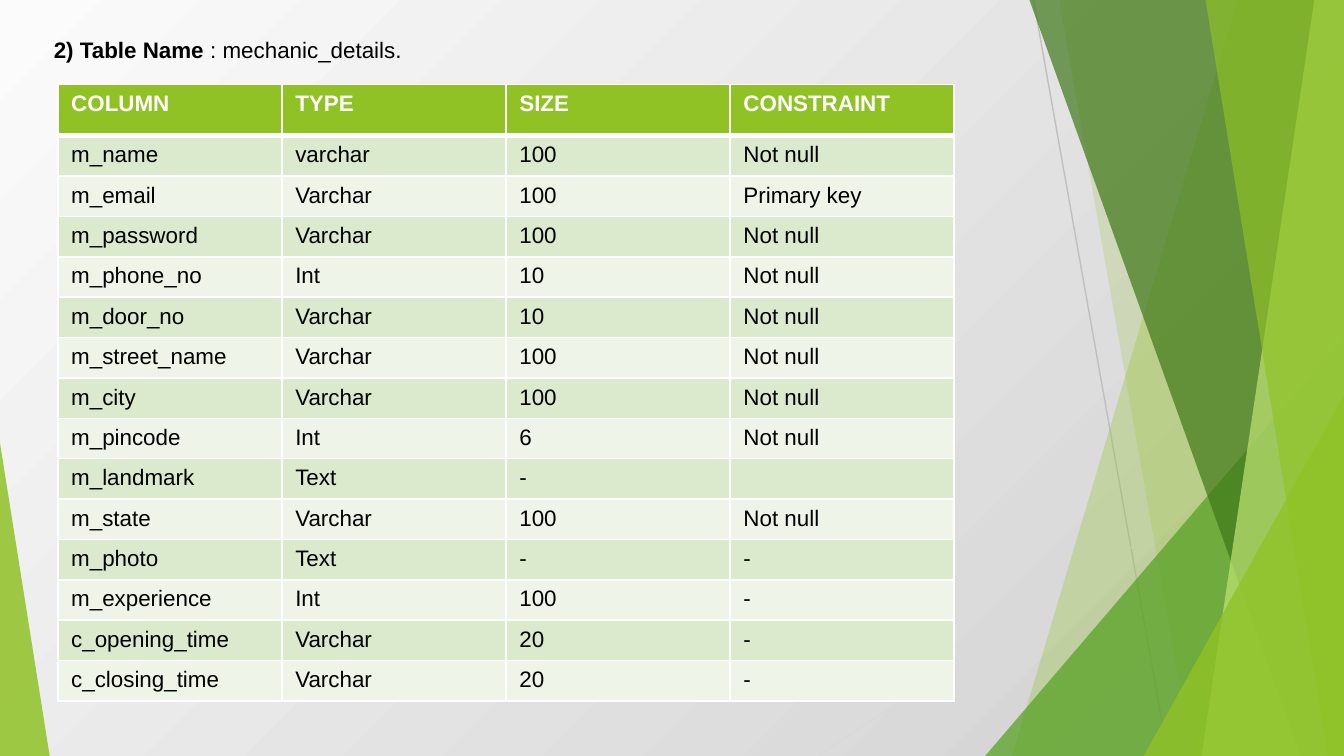
from collections import namedtuple
from dataclasses import dataclass

from lxml import etree
from pptx import Presentation
from pptx.dml import color
from pptx.enum import shapes, text
from pptx.oxml import ns
from pptx.util import Inches, Pt

Box = namedtuple("Box", "left top width height")


@dataclass(frozen=True)
class Theme:
    font: str = "Arial"
    size: int = 12
    ink: str = "000000"
    white: str = "FFFFFF"
    back_light: str = "FBFBFB"
    back_dark: str = "D0D0D0"
    line_dark: str = "BFBFBF"
    line_light: str = "D9D9D9"
    lime: str = "90C226"
    green: str = "54A021"
    forest: str = "3F7819"
    pale: str = "C0E474"
    band_dark: str = "DBE9CD"
    band_light: str = "EEF4E8"


THEME = Theme()
HEADINGS = ("COLUMN", "TYPE", "SIZE", "CONSTRAINT")
FIELDS = (
    ("m_name", "varchar", "100", "Not null"),
    ("m_email", "Varchar", "100", "Primary key"),
    ("m_password", "Varchar", "100", "Not null"),
    ("m_phone_no", "Int", "10", "Not null"),
    ("m_door_no", "Varchar", "10", "Not null"),
    ("m_street_name", "Varchar", "100", "Not null"),
    ("m_city", "Varchar", "100", "Not null"),
    ("m_pincode", "Int", "6", "Not null"),
    ("m_landmark", "Text", "-", ""),
    ("m_state", "Varchar", "100", "Not null"),
    ("m_photo", "Text", "-", "-"),
    ("m_experience", "Int", "100", "-"),
    ("c_opening_time", "Varchar", "20", "-"),
    ("c_closing_time", "Varchar", "20", "-"),
)


def rgb(value):
    return color.RGBColor.from_string(value)


def style_font(font, ink, bold=None):
    font.name = THEME.font
    font.size = Pt(THEME.size)
    font.bold = bold
    font.color.rgb = rgb(ink)


def paint_background(page):
    fill = page.background.fill
    fill.gradient()
    fill.gradient_angle = 315
    for stop, value in zip(fill.gradient_stops, (THEME.back_light, THEME.back_dark)):
        stop.color.rgb = rgb(value)


def fill_facet(shape, value, opacity):
    shape.shadow.inherit = False
    shape.line.fill.background()
    shape.fill.solid()
    shape.fill.fore_color.rgb = rgb(value)
    tint = shape.fill._xPr.find(".//" + ns.qn("a:srgbClr"))
    etree.SubElement(tint, ns.qn("a:alpha"), val=str(opacity * 1000))


def add_line(page, box, start, end, value):
    points = [
        edge + Inches(offset)
        for point in (start, end)
        for edge, offset in zip((box.left, box.top), point)
    ]
    line = page.shapes.add_connector(shapes.MSO_CONNECTOR.STRAIGHT, *points)
    line.line.color.rgb = rgb(value)
    line.line.width = Pt(0.75)
    etree.SubElement(line._element.spPr, ns.qn("a:effectLst"))


def add_panel(page, box, top_left, bottom_left, value, opacity):
    right, bottom = box.left + box.width, box.top + box.height
    builder = page.shapes.build_freeform(box.left + Inches(top_left), box.top, scale=1.0)
    builder.add_line_segments(
        [
            (right, box.top),
            (right, bottom),
            (box.left + Inches(bottom_left), bottom),
        ],
        close=True,
    )
    fill_facet(builder.convert_to_shape(), value, opacity)


def add_corner(page, box, width, height, apex, value, opacity):
    width, height = Inches(width), Inches(height)
    corner = page.shapes.add_shape(
        shapes.MSO_SHAPE.ISOSCELES_TRIANGLE,
        box.left + int(apex * (box.width - width)),
        box.top + box.height - height,
        width,
        height,
    )
    corner.adjustments[0] = apex
    fill_facet(corner, value, opacity)


def add_facets(page, box):
    add_line(page, box, (7.69, 0), (8.69, 5.62), THEME.line_dark)
    add_line(page, box, (10, 3.02), (6.09, 5.62), THEME.line_light)
    add_panel(page, box, 9.21, 7.53, THEME.lime, 30)
    add_panel(page, box, 7.88, 8.87, THEME.lime, 20)
    add_corner(page, box, 2.67, 3.12, 1, THEME.green, 72)
    add_panel(page, box, 7.66, 9.68, THEME.forest, 70)
    add_panel(page, box, 9.78, 8.94, THEME.pale, 70)
    add_panel(page, box, 8.97, 9.88, THEME.lime, 65)
    add_corner(page, box, 1.49, 2.68, 1, THEME.lime, 80)
    add_corner(page, box, 0.37, 2.33, 0, THEME.lime, 85)


def add_title(page, box):
    title = page.shapes.title
    title.left, title.top, title.width, title.height = box
    frame = title.text_frame
    frame.word_wrap = True
    frame.auto_size = text.MSO_AUTO_SIZE.NONE
    frame.vertical_anchor = text.MSO_ANCHOR.MIDDLE
    para = frame.paragraphs[0]
    para.alignment = text.PP_ALIGN.LEFT
    style_font(para.font, THEME.ink)
    for words, bold in (("2) Table Name", True), (" : mechanic_details.", False)):
        span = para.add_run()
        span.text = words
        span.font.bold = bold


def add_borders(cell, widths):
    properties = cell._tc.get_or_add_tcPr()
    for side, width in zip(("lnL", "lnR", "lnT", "lnB"), widths):
        border = etree.SubElement(properties, ns.qn("a:" + side), w=str(Pt(width)))
        solid = etree.SubElement(border, ns.qn("a:solidFill"))
        etree.SubElement(solid, ns.qn("a:srgbClr"), val=THEME.white)


def fill_cell(cell, words, row_index):
    header = row_index == 0
    band = THEME.band_dark if row_index % 2 else THEME.band_light
    add_borders(cell, (1, 1, 3 if row_index == 1 else 1, 3 if header else 1))
    cell.fill.solid()
    cell.fill.fore_color.rgb = rgb(THEME.lime if header else band)
    cell.text = words
    style_font(cell.text_frame.paragraphs[0].font, THEME.white if header else THEME.ink, header)


def add_field_table(page, box):
    rows = (HEADINGS, *FIELDS)
    table = page.shapes.add_table(len(rows), len(HEADINGS), *box).table
    header_height = Inches(0.38)
    body_height = (box.height - header_height) // len(FIELDS)
    for column in table.columns:
        column.width = box.width // len(HEADINGS)
    for row_index, values in enumerate(rows):
        table.rows[row_index].height = body_height if row_index else header_height
        for column_index, words in enumerate(values):
            fill_cell(table.cell(row_index, column_index), words, row_index)


def build_deck():
    deck = Presentation()
    deck.slide_width = Inches(10)
    deck.slide_height = deck.slide_width * 9 // 16
    page = deck.slides.add_slide(deck.slide_layouts.get_by_name("Title Only"))
    paint_background(page)
    add_facets(page, Box(0, 0, deck.slide_width, deck.slide_height))
    add_title(page, Box(Inches(0.3), Inches(0.22), Inches(2.85), Inches(0.3)))
    add_field_table(page, Box(Inches(0.43), Inches(0.63), Inches(6.67), Inches(4.59)))
    deck.save("out.pptx")


build_deck()
